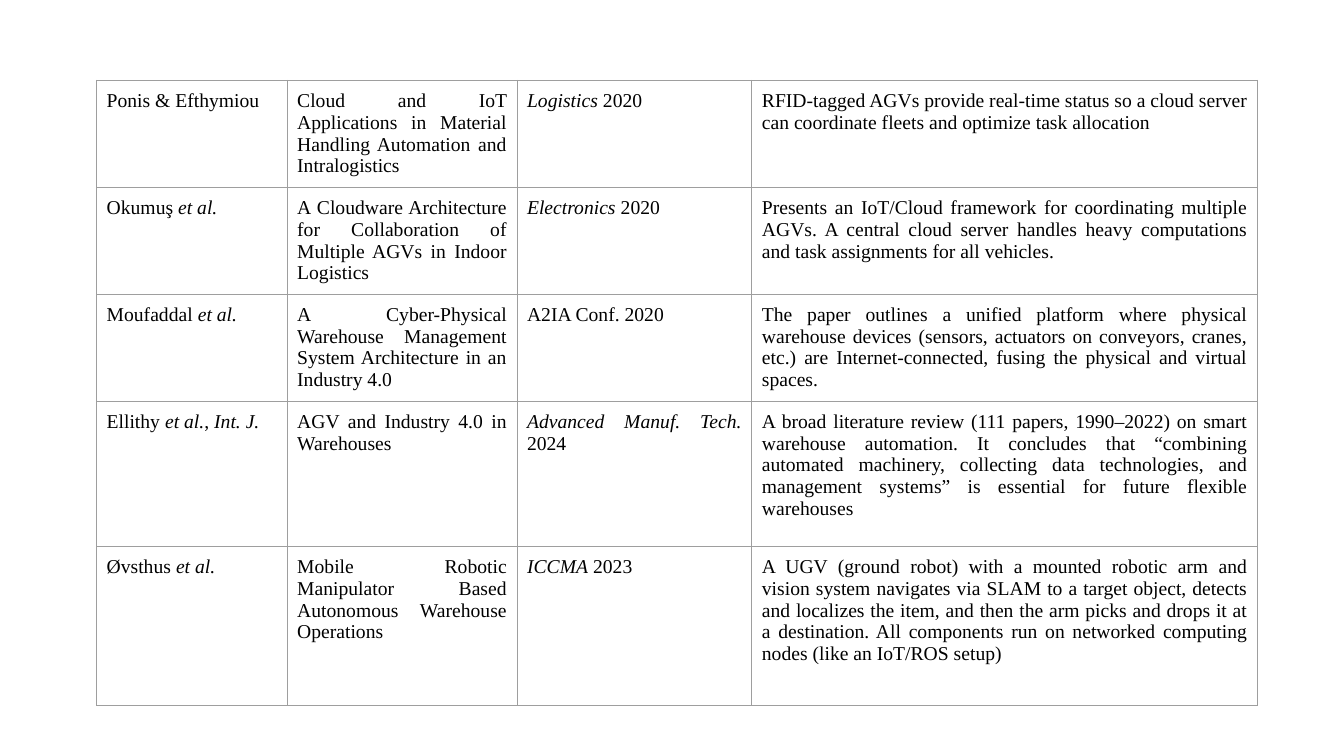
from dataclasses import astuple, dataclass

from lxml.etree import SubElement
from pptx import Presentation
from pptx.dml.color import RGBColor
from pptx.enum.text import MSO_ANCHOR, PP_ALIGN
from pptx.oxml.ns import qn
from pptx.table import _Cell as Cell
from pptx.util import Pt

FONT = "Times New Roman"
INK = "000000"
RULE = "9E9E9E"
COLUMN_WIDTHS = (136.1, 164.2, 167.8, 361.4)
ITALIC_MARK = "*"


@dataclass(frozen=True)
class Paper:
    """One table row; text between asterisks is italic."""
    authors: str
    title: str
    venue: str
    finding: str


PAPERS = (
    Paper("Ponis & Efthymiou",
          "Cloud and IoT Applications in Material Handling Automation and Intralogistics",
          "*Logistics* 2020",
          "RFID-tagged AGVs provide real-time status so a cloud server can coordinate "
          "fleets and optimize task allocation"),
    Paper("Okumuş *et al.*",
          "A Cloudware Architecture for Collaboration of Multiple AGVs in Indoor Logistics",
          "*Electronics* 2020",
          "Presents an IoT/Cloud framework for coordinating multiple AGVs. A central cloud "
          "server handles heavy computations and task assignments for all vehicles."),
    Paper("Moufaddal *et al.*",
          "A Cyber-Physical Warehouse Management System Architecture in an Industry 4.0",
          "A2IA Conf. 2020",
          "The paper outlines a unified platform where physical warehouse devices (sensors, "
          "actuators on conveyors, cranes, etc.) are Internet-connected, fusing the physical "
          "and virtual spaces."),
    Paper("Ellithy *et al.*, *Int. J. *",
          "AGV and Industry 4.0 in Warehouses",
          "*Advanced Manuf. Tech.* 2024",
          "A broad literature review (111 papers, 1990–2022) on smart warehouse automation. "
          "It concludes that “combining automated machinery, collecting data technologies, "
          "and management systems” is essential for future flexible warehouses"),
    Paper("Øvsthus *et al.*",
          "Mobile Robotic Manipulator Based Autonomous Warehouse Operations",
          "*ICCMA* 2023",
          "A UGV (ground robot) with a mounted robotic arm and vision system navigates via "
          "SLAM to a target object, detects and localizes the item, and then the arm picks "
          "and drops it at a destination. All components run on networked computing nodes "
          "(like an IoT/ROS setup)"),
)
ROW_HEIGHTS = (74.9, 71.3, 76.3, 103.7, 113.8)


def rgb(value: str) -> RGBColor:
    return RGBColor.from_string(value)


def write(cell: Cell, text: str, *, size: float = 14, color: str = INK,
          align: PP_ALIGN = PP_ALIGN.JUSTIFY) -> None:
    """Fill a cell, switching italics at each asterisk."""
    paragraph = cell.text_frame.paragraphs[0]
    paragraph.alignment = align
    for index, part in enumerate(text.split(ITALIC_MARK)):
        if part:
            run = paragraph.add_run()
            run.text = part
            run.font.name = FONT
            run.font.size = Pt(size)
            run.font.italic = index % 2 == 1
            run.font.color.rgb = rgb(color)


def add_borders(cell: Cell, color: str, width: float) -> None:
    properties = cell._tc.get_or_add_tcPr()
    for position, side in enumerate(("lnL", "lnR", "lnT", "lnB")):
        line = SubElement(properties, qn(f"a:{side}"), w=str(Pt(width)))
        fill = SubElement(line, qn("a:solidFill"))
        SubElement(fill, qn("a:srgbClr"), val=color)
        properties.remove(line)
        properties.insert(position, line)


def style_cell(cell: Cell) -> None:
    cell.margin_left = cell.margin_right = Pt(7.2)
    cell.margin_top = cell.margin_bottom = Pt(7.2)
    cell.vertical_anchor = MSO_ANCHOR.TOP
    cell.fill.background()
    add_borders(cell, RULE, 0.75)


def main() -> None:
    deck = Presentation()
    deck.slide_width, deck.slide_height = Pt(960), Pt(540)
    slide = deck.slides.add_slide(deck.slide_layouts[6])

    literature = slide.shapes.add_table(
        len(PAPERS), len(COLUMN_WIDTHS), Pt(69), Pt(57.4),
        Pt(sum(COLUMN_WIDTHS)), Pt(sum(ROW_HEIGHTS))).table
    literature.first_row = literature.horz_banding = False

    for column, width in zip(literature.columns, COLUMN_WIDTHS):
        column.width = Pt(width)
    for row, height, paper in zip(literature.rows, ROW_HEIGHTS, PAPERS):
        row.height = Pt(height)
        for cell, text in zip(row.cells, astuple(paper)):
            style_cell(cell)
            write(cell, text)

    deck.save("out.pptx")


if __name__ == "__main__":
    main()
